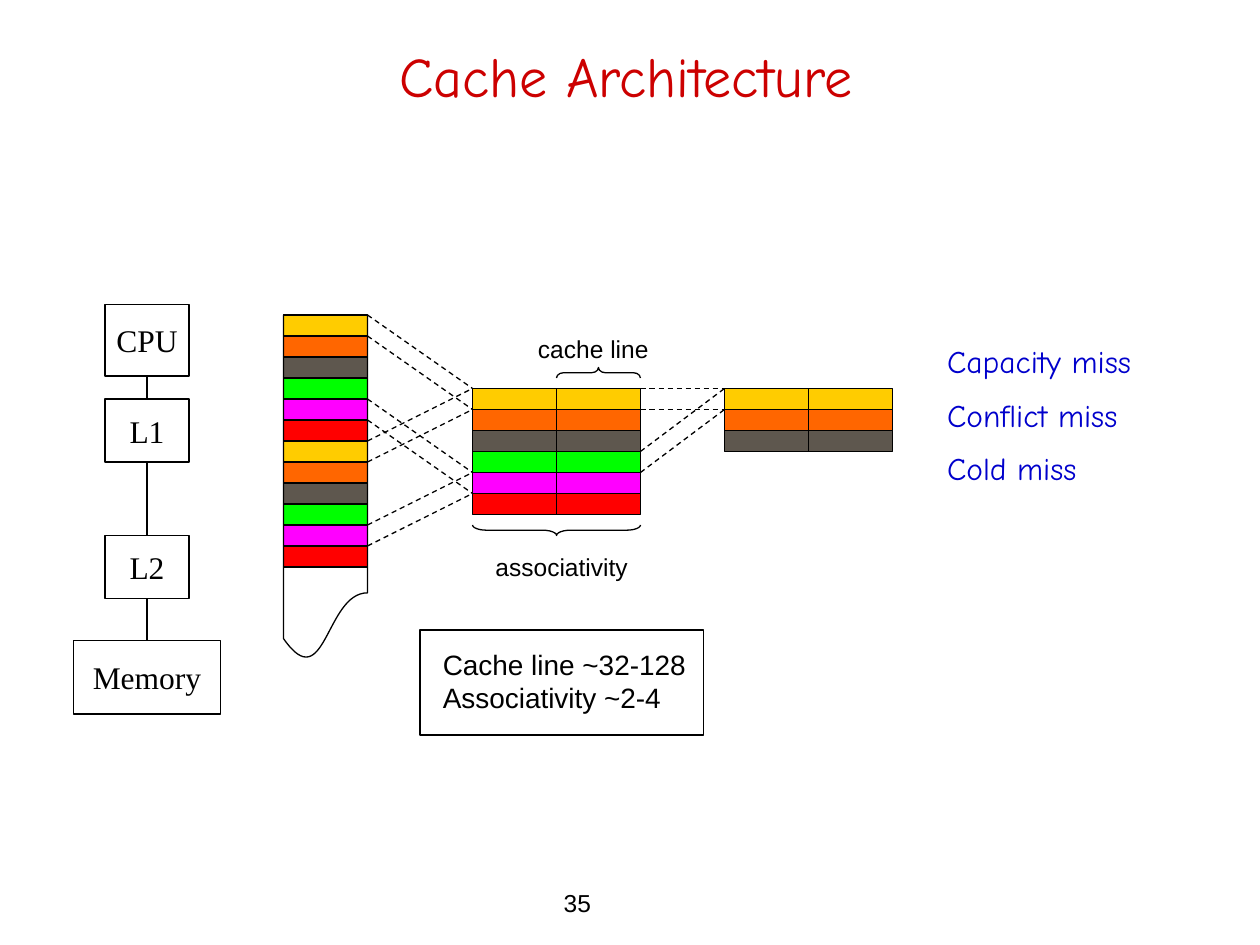
from itertools import cycle, islice

from pptx import Presentation
from pptx.dml.color import RGBColor as RGB
from pptx.enum.dml import MSO_LINE_DASH_STYLE as DASH
from pptx.enum.shapes import MSO_CONNECTOR as CONN, MSO_SHAPE as SHAPE
from pptx.enum.text import MSO_ANCHOR as ANCHOR, MSO_AUTO_SIZE as FIT, PP_ALIGN as ALIGN
from pptx.oxml.ns import qn
from pptx.util import Pt

COLORS = {
    "black": "000000", "title": "CC0000", "body": "0000CC",
    "gold": "FFCC00", "orange": "FF6600", "gray": "5E574E",
    "green": "00FF00", "magenta": "FF00FF", "red": "FF0000",
}
BANDS = ["gold", "orange", "gray", "green", "magenta", "red"]
FONTS = {
    "title": {"size": Pt(32), "name": "Comic Neue"},
    "body": {"size": Pt(18), "name": "Comic Neue"},
    "box": {"size": Pt(18), "name": "Times New Roman"},
    "label": {"size": Pt(14), "name": "Arial"},
    "note": {"size": Pt(16), "name": "Arial"},
}
ROW = 12        # height of one cache row
LINE = 0.75


def rgb(name):
    return RGB.from_string(COLORS[name])


class Diagram:
    def __init__(self, slide):
        self.s = slide

    def put_text(self, sp, lines, font, color="black", align=ALIGN.LEFT,
                 anchor=ANCHOR.MIDDLE, wrap=True, gap=0):
        tf = sp.text_frame
        frame = {"auto_size": FIT.NONE, "word_wrap": wrap, "vertical_anchor": anchor}
        for key, value in frame.items():
            setattr(tf, key, value)
        for i, line in enumerate(lines):
            p = tf.paragraphs[0] if i == 0 else tf.add_paragraph()
            p.alignment = align
            p.space_before = Pt(gap if i else 0)
            r = p.add_run()
            r.text = line
            for key, value in FONTS[font].items():
                setattr(r.font, key, value)
            r.font.color.rgb = rgb(color)

    def placeholder(self, idx, at, lines, font, **style):
        sp = self.s.placeholders[idx]
        for key, value in zip(("left", "top", "width", "height"), at):
            setattr(sp, key, Pt(value))
        self.put_text(sp, lines, font, color=font, **style)
        for p in sp.text_frame.paragraphs:
            pPr = p._p.get_or_add_pPr()
            pPr.set("marL", "0")
            pPr.set("indent", "0")
            pPr.append(pPr.makeelement(qn("a:buNone"), {}))

    def text(self, at, lines, font="label", **style):
        self.put_text(self.s.shapes.add_textbox(*map(Pt, at)), lines, font, **style)

    def shape(self, kind, at, fill=None):
        sp = self.s.shapes.add_shape(kind, *map(Pt, at))
        sp.shadow.inherit = False
        if fill:
            sp.fill.solid()
            sp.fill.fore_color.rgb = rgb(fill)
        else:
            sp.fill.background()
        sp.line.color.rgb = rgb("black")
        sp.line.width = Pt(LINE)
        return sp

    def box(self, at, label):
        sp = self.shape(SHAPE.RECTANGLE, at)
        self.put_text(sp, [label], "box", align=ALIGN.CENTER, wrap=False)

    def rows(self, x, y, width, count):
        for i, band in enumerate(islice(cycle(BANDS), count)):
            self.shape(SHAPE.RECTANGLE, (x, y + i * ROW, width, ROW), band)

    def line(self, x1, y1, x2, y2, dashed=False):
        c = self.s.shapes.add_connector(CONN.STRAIGHT, *map(Pt, (x1, y1, x2, y2)))
        c.line.color.rgb = rgb("black")
        c.line.width = Pt(LINE)
        if dashed:
            c.line.dash_style = DASH.DASH
        spPr = c._element.spPr
        spPr.append(spPr.makeelement(qn("a:effectLst"), {}))

    def ways(self, x, y, count):
        """A two-way cache: colored rows split down the middle."""
        self.rows(x, y, 96, count)
        self.line(x + 48, y, x + 48, y + count * ROW)

    def mapping(self, x1, y1, x2, y2):
        """Dashed lines from both edges of one row to those of another."""
        for dy in (0, ROW):
            self.line(x1, y1 + dy, x2, y2 + dy, dashed=True)

    def brace(self, cx, cy, length, rotation):
        depth = 6
        sp = self.shape(SHAPE.RIGHT_BRACE,
                        (cx - depth / 2, cy - length / 2, depth, length))
        sp.adjustments[0] = length / 12 / depth
        sp.rotation = rotation


def main():
    prs = Presentation()
    prs.slide_width, prs.slide_height = Pt(720), Pt(540)
    s = prs.slides.add_slide(prs.slide_layouts[1])
    d = Diagram(s)

    # Title, list of misses and page number
    d.placeholder(0, (31.5, 12, 652.5, 54), ["Cache Architecture"], "title",
                  align=ALIGN.CENTER, anchor=ANCHOR.BOTTOM)
    d.placeholder(1, (534, 192, 168, 90),
                  ["Capacity miss", "Conflict miss", "Cold miss"], "body",
                  anchor=ANCHOR.TOP, gap=9)
    d.text((315, 504, 78, 24), ["35"], anchor=ANCHOR.TOP)

    # Memory hierarchy
    axis = 84
    levels = [("CPU", 174, 48, 41), ("L1", 228, 48, 36),
              ("L2", 306, 48, 36), ("Memory", 366, 84, 42)]
    for label, top, width, height in levels:
        d.box((axis - width / 2, top, width, height), label)
    for (_, top, _, height), (_, below, _, _) in zip(levels, levels[1:]):
        d.line(axis, top + height, axis, below)

    # Memory strip and the two caches
    mem_x, mem_y, l2_x, l1_x, cache_y = 162, 180, 270, 414, 222
    d.ways(l2_x, cache_y, 6)
    d.rows(mem_x, mem_y, 48, 12)
    d.shape(SHAPE.FLOWCHART_DOCUMENT, (mem_x, mem_y, 48, 198))
    d.ways(l1_x, cache_y, 3)

    # Which row maps to which
    for mem_row, l2_row in ((0, 0), (4, 4), (6, 0), (10, 4)):
        d.mapping(mem_x + 48, mem_y + mem_row * ROW, l2_x, cache_y + l2_row * ROW)
    for l2_row in (0, 3):
        d.mapping(l2_x + 96, cache_y + l2_row * ROW, l1_x, cache_y)

    # Braces and labels
    d.brace(342, 213, 48, 270)
    d.text((294, 187, 90, 24), ["cache line"], align=ALIGN.CENTER)
    d.brace(318, 303, 96, 90)
    d.text((271, 312, 100, 24), ["associativity"], align=ALIGN.CENTER)

    # Typical sizes
    d.shape(SHAPE.RECTANGLE, (240, 360, 162, 60))
    d.text((246, 366, 160, 46), ["Cache line ~32-128", "Associativity ~2-4"], "note")

    prs.save("out.pptx")


if __name__ == "__main__":
    main()
